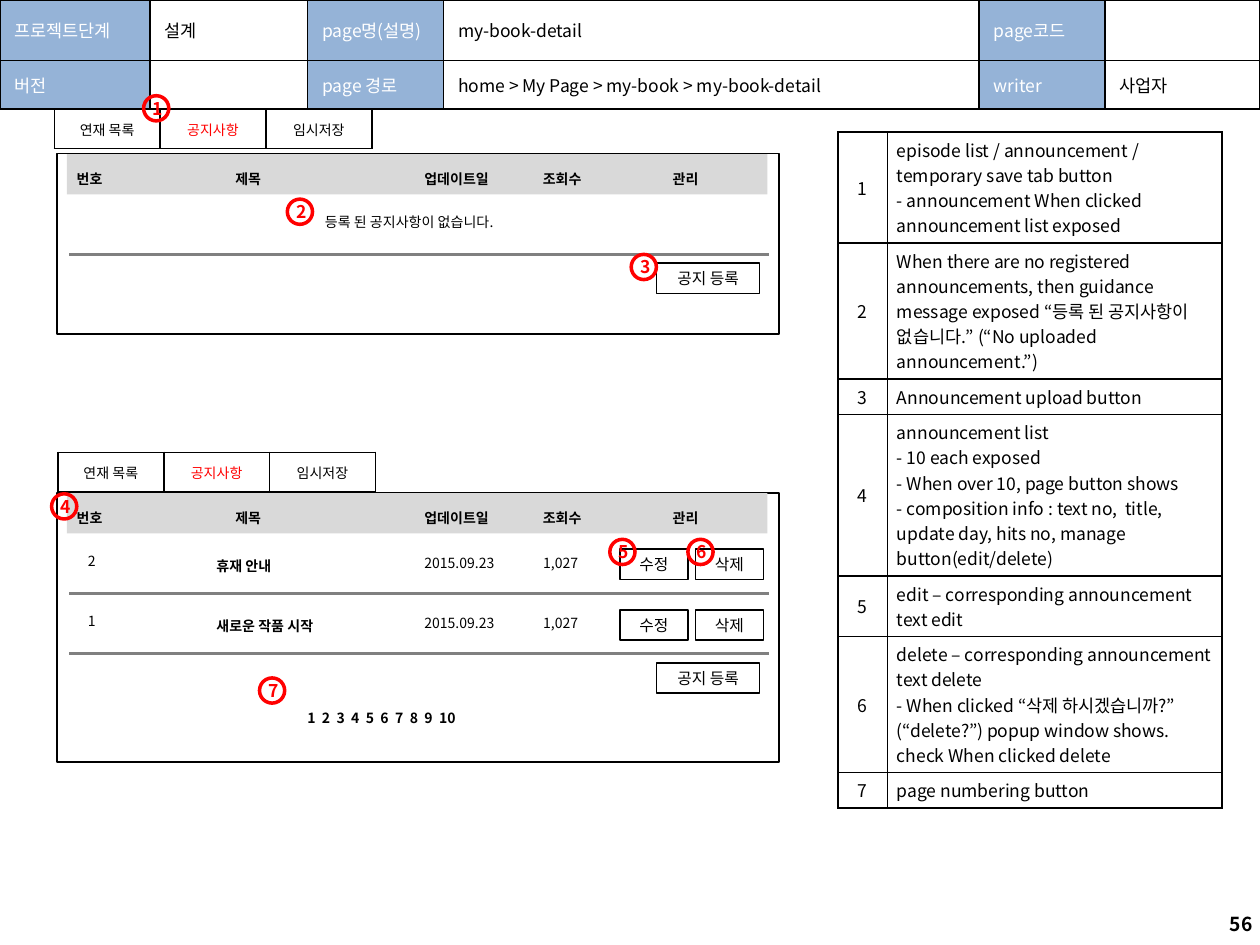
from lxml import etree
from pptx import Presentation
from pptx.dml.color import RGBColor
from pptx.enum.shapes import MSO_CONNECTOR, MSO_SHAPE
from pptx.enum.text import MSO_ANCHOR, MSO_AUTO_SIZE, PP_ALIGN
from pptx.oxml.ns import qn
from pptx.util import Pt

RECT, OVAL = MSO_SHAPE.RECTANGLE, MSO_SHAPE.OVAL
STRAIGHT = MSO_CONNECTOR.STRAIGHT
TOP, MIDDLE = MSO_ANCHOR.TOP, MSO_ANCHOR.MIDDLE
LEFT, CENTER, RIGHT = PP_ALIGN.LEFT, PP_ALIGN.CENTER, PP_ALIGN.RIGHT
GROW = MSO_AUTO_SIZE.SHAPE_TO_FIT_TEXT

FONT = "Noto Sans CJK KR"
BLACK, WHITE, RED = "000000", "FFFFFF", "FF0000"
BLUE, SILVER, GRAY = "95B3D7", "D9D9D9", "808080"


def rgb(value):
    return RGBColor.from_string(value)


class Page:
    def __init__(self, slide):
        self.s = slide

    def add_runs(self, tf, text, size=8, color=BLACK, bold=False, align=LEFT, spacing=None):
        p = tf.paragraphs[0]
        p.alignment = align
        if spacing:
            p.line_spacing = spacing
        for i, line in enumerate(text.split("\n")):
            if i:
                p.add_line_break()
            r = p.add_run()
            r.text = line
            r.font.size, r.font.bold, r.font.name = Pt(size), bold, FONT
            r.font.color.rgb = rgb(color)
            etree.SubElement(r.font._element, qn("a:ea"), typeface=FONT)

    def text(self, x, y, w, h, text, wrap=True, grow=False, anchor=MIDDLE, **style):
        tf = self.s.shapes.add_textbox(Pt(x), Pt(y), Pt(w), Pt(h)).text_frame
        tf.word_wrap, tf.vertical_anchor = wrap, anchor
        if grow:
            tf.auto_size = GROW
        self.add_runs(tf, text, **style)

    def heading(self, x, y, w, text, wrap=False, h=20):
        self.text(x, y, w, h, text, wrap, True, TOP, bold=True, spacing=1.5)

    def shape(self, kind, x, y, w, h, fill=None, line=None, weight=1, text=None, **style):
        sp = self.s.shapes.add_shape(kind, Pt(x), Pt(y), Pt(w), Pt(h))
        sp.shadow.inherit = False
        if fill:
            sp.fill.solid()
            sp.fill.fore_color.rgb = rgb(fill)
        else:
            sp.fill.background()
        if line:
            sp.line.color.rgb = rgb(line)
            sp.line.width = Pt(weight)
        else:
            sp.line.fill.background()
        if text:
            sp.text_frame.vertical_anchor = MIDDLE
            self.add_runs(sp.text_frame, text, **style)

    def button(self, x, y, w, text):
        self.shape(RECT, x, y, w, 17.3, line=BLACK, text=text, size=9, align=CENTER)

    def marker(self, x, y, number):
        self.shape(OVAL, x, y, 14.4, 14.4, line=RED, weight=2, text=str(number),
                   size=10, color=RED, bold=True, align=CENTER)

    def divider(self, y):
        line = self.s.shapes.add_connector(STRAIGHT, Pt(39.6), Pt(y), Pt(439.2), Pt(y))
        line.line.color.rgb = rgb(GRAY)
        line.line.width = Pt(1.5)
        etree.SubElement(line._element.spPr, qn("a:effectLst"))

    def table(self, x, y, widths, heights, rows, margins, style):
        """style(row, column) gives the fill and the text style of a cell."""
        frame = self.s.shapes.add_table(len(rows), len(widths), Pt(x), Pt(y),
                                        Pt(sum(widths)), Pt(sum(heights)))
        table = frame.table
        table.first_row = table.horz_banding = False
        for column, w in zip(table.columns, widths):
            column.width = Pt(w)
        for row, h in zip(table.rows, heights):
            row.height = Pt(h)
        for i, row in enumerate(rows):
            for j, text in enumerate(row):
                cell = table.cell(i, j)
                cell.margin_left = cell.margin_right = Pt(margins[0])
                cell.margin_top = cell.margin_bottom = Pt(margins[1])
                cell.vertical_anchor = MIDDLE
                self.border(cell)
                fill, look = style(i, j)
                if fill:
                    cell.fill.solid()
                    cell.fill.fore_color.rgb = rgb(fill)
                else:
                    cell.fill.background()
                if text:
                    self.add_runs(cell.text_frame, text, **look)

    def border(self, cell):
        tc_pr = cell._tc.get_or_add_tcPr()
        for side in ("a:lnL", "a:lnR", "a:lnT", "a:lnB"):
            ln = etree.SubElement(tc_pr, qn(side), w=str(Pt(1)))
            solid = etree.SubElement(ln, qn("a:solidFill"))
            etree.SubElement(solid, qn("a:srgbClr"), val=BLACK)

    def tabs(self, x, y):
        self.table(x, y, [60.5] * 3, [22.3], [["연재 목록", "공지사항", "임시저장"]], (2.9, 3.6),
                   lambda i, j: (WHITE, dict(align=CENTER, color=RED if j == 1 else BLACK)))

    def panel(self, y, h, button_y):
        self.shape(RECT, 32.4, y, 412.6, h, line=BLACK)
        self.shape(RECT, 38.2, y + 0.3, 400.3, 23, fill=SILVER)
        for x, w, label in HEADINGS:
            self.heading(x, y + 1.3, w, label)
        self.button(375.1, button_y, 59, "공지 등록")


HEADINGS = [(36.7, 29.5, "번호"), (127.4, 29.5, "제목"), (303.1, 37.4, "조회수"),
            (235.4, 52.6, "업데이트일"), (377.3, 29.5, "관리")]
PAGE_INFO = [
    ["프로젝트단계", "설계", "page명(설명)", "my-book-detail", "page코드", ""],
    ["버전", "", "page 경로", "home > My Page > my-book > my-book-detail", "writer", "사업자"],
]
DESCRIPTIONS = [
    "episode list / announcement / temporary save tab button\n"
    "- announcement When clicked announcement list exposed",
    "When there are no registered announcements, then guidance message exposed "
    "“등록 된 공지사항이 없습니다.” (“No uploaded announcement.”)",
    "Announcement upload button",
    "announcement list\n- 10 each exposed\n- When over 10, page button shows\n"
    "- composition info : text no,  title, update day, hits no, manage button(edit/delete)",
    "edit – corresponding announcement text edit",
    "delete – corresponding announcement text delete\n"
    "- When clicked “삭제 하시겠습니까?” (“delete?”) popup window shows. "
    "check When clicked delete",
    "page numbering button",
]
NOTICES = [("2", "휴재 안내"), ("1", "새로운 작품 시작")]
MARKERS = [(82.1, 54.7), (164.2, 113.8), (360.7, 145.4), (29.5, 282.2),
           (348.5, 308.2), (393.1, 308.2), (148.3, 387.4)]


def info_style(i, j):
    label = j % 2 == 0
    return BLUE if label else None, dict(size=10, color=WHITE if label else BLACK)


def description_style(i, j):
    return None, dict(size=10, align=LEFT if j else CENTER)


def main():
    prs = Presentation()
    prs.slide_width, prs.slide_height = Pt(720), Pt(540)
    page = Page(prs.slides.add_slide(prs.slide_layouts[6]))

    # Page information, descriptions and page number
    page.table(0, 0, [85.7, 90, 77.8, 306, 72, 88.5], [27.4, 26.6], PAGE_INFO,
               (8.4, 2.9), info_style)
    rows = [[str(n), text] for n, text in enumerate(DESCRIPTIONS, 1)]
    page.table(478.8, 75.4, [28.4, 191], [12.2] * len(rows), rows, (5.4, 2.9),
               description_style)
    page.text(555, 513.4, 167.8, 28.8, "56", size=11, bold=True, align=RIGHT)

    # Empty announcement list
    page.panel(87.8, 103, 150.5)
    page.text(178.6, 118.8, 129.6, 15.8, "등록 된 공지사항이 없습니다.")
    page.divider(145.4)
    page.tabs(31, 62.6)

    # Filled announcement list
    page.panel(281.5, 154, 378.7)
    for i, (number, title) in enumerate(NOTICES):
        y = 312.5 + 34.5 * i
        page.text(43.2, y, 129.6, 15.8, number)
        page.heading(116.6, y - 2.2, 139.7, title, wrap=True)
        page.shape(RECT, 235.4, y, 56.2, 18, fill=WHITE, text="2015.09.23")
        page.shape(RECT, 292.3, y, 56.2, 18, fill=WHITE, text="1,027", align=CENTER)
        page.divider(y + 26.6)
        page.button(354.2, y + 1.4, 38.9, "수정")
        page.button(397.4, y + 1.4, 38.9, "삭제")
    page.text(168.5, 401.8, 118, 17.3, "1  2  3  4  5  6  7  8  9  10", wrap=False,
              grow=True, anchor=TOP, bold=True)

    # Numbered markers
    for n, (x, y) in enumerate(MARKERS, 1):
        page.marker(x, y, n)
    page.tabs(33.1, 258.5)

    prs.save("out.pptx")


if __name__ == "__main__":
    main()
